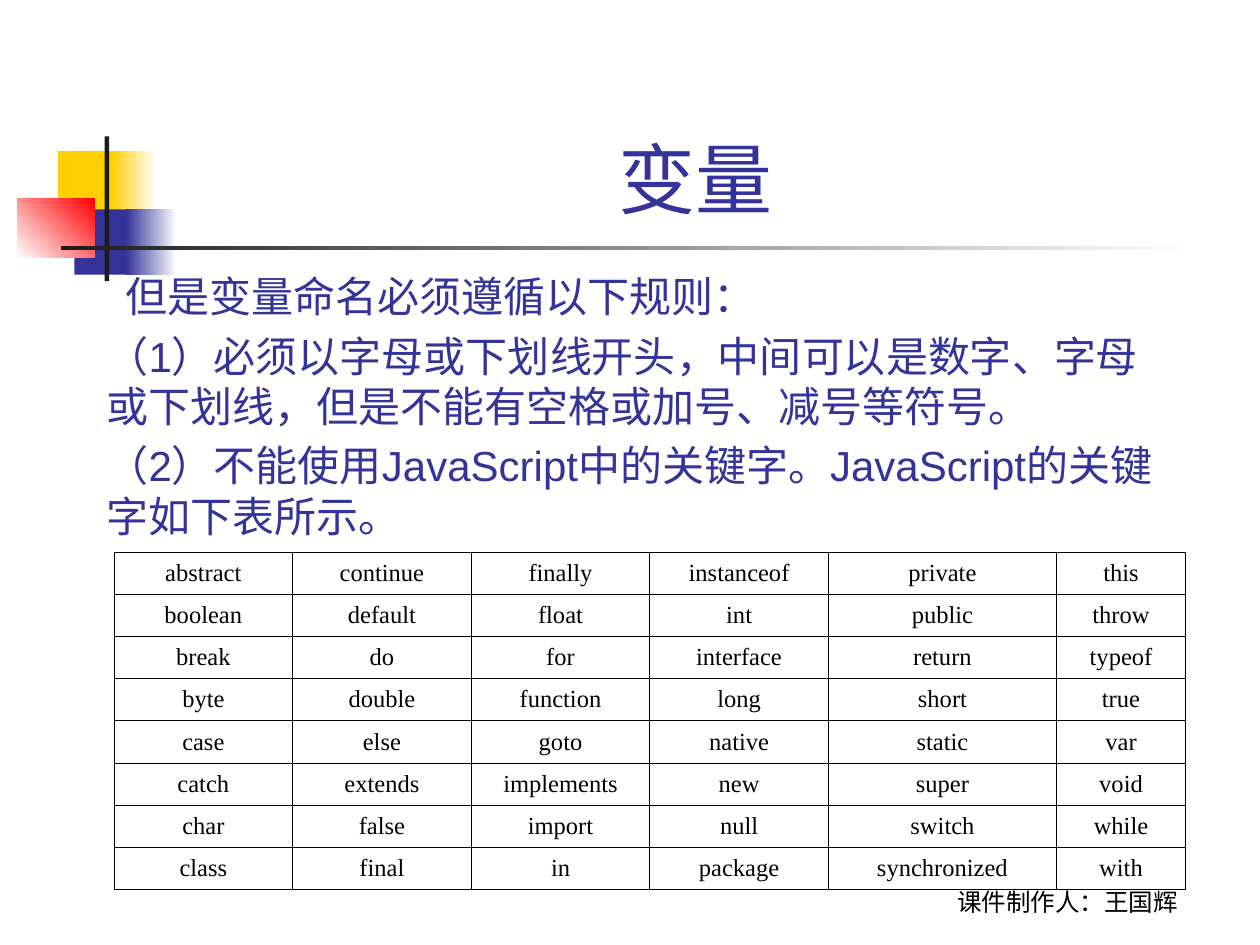
from dataclasses import dataclass

from lxml.etree import SubElement
from pptx import Presentation
from pptx.dml.color import RGBColor as RGB
from pptx.enum.shapes import MSO_SHAPE as Shape
from pptx.enum.text import MSO_ANCHOR as Anchor, MSO_AUTO_SIZE as AutoSize, PP_ALIGN as Align
from pptx.oxml.ns import qn
from pptx.util import Cm, Pt


@dataclass(frozen=True)
class Theme:
    navy: str = "333399"
    yellow: str = "FFCF01"
    red: str = "FF0000"
    dark: str = "1C1C1C"
    black: str = "000000"
    white: str = "FFFFFF"
    title_size: int = 44
    body_size: int = 24
    small_size: int = 14
    border: float = 0.45
    font: str = "Arial"
    footer_font: str = "Karla"
    table_font: str = "Times New Roman"


def write(tf, text, size, color, font, align=Align.LEFT, before=0, anchor=Anchor.TOP):
    tf.word_wrap = True
    tf.vertical_anchor = anchor
    p = tf.paragraphs[0]
    p.alignment = align
    p.space_before = Pt(before)
    r = p.add_run()
    r.text = text
    r.font.size = Pt(size)
    r.font.name = font
    r.font.color.rgb = RGB.from_string(color)


class SlideBuilder:
    def __init__(self, slide, theme):
        self.slide = slide
        self.theme = theme

    def block(self, box, color, fade_to=None, angle=0):
        """Draw a borderless rectangle; the angle turns counter-clockwise."""
        sp = self.slide.shapes.add_shape(Shape.RECTANGLE, *map(Cm, box))
        sp.shadow.inherit = False
        sp.line.fill.background()
        if fade_to is None:
            sp.fill.solid()
            sp.fill.fore_color.rgb = RGB.from_string(color)
            return
        sp.fill.gradient()
        sp.fill.gradient_angle = angle
        for stop, stop_color in zip(sp.fill.gradient_stops, (color, fade_to)):
            stop.color.rgb = RGB.from_string(stop_color)

    def title(self, box, text):
        sp = self.slide.shapes.title
        sp.left, sp.top, sp.width, sp.height = map(Cm, box)
        t = self.theme
        sp.text_frame.auto_size = AutoSize.NONE
        write(sp.text_frame, text, t.title_size, t.navy, t.font,
              align=Align.CENTER, anchor=Anchor.BOTTOM)

    def text_box(self, box, text, auto_size=AutoSize.NONE, **style):
        tf = self.slide.shapes.add_textbox(*map(Cm, box)).text_frame
        write(tf, text, **style)
        tf.auto_size = auto_size

    def body(self, box, text):
        t = self.theme
        self.text_box(box, text, AutoSize.SHAPE_TO_FIT_TEXT, size=t.body_size,
                      color=t.navy, font=t.font, before=9)

    def footer(self, box, text):
        t = self.theme
        self.text_box(box, text, size=t.small_size, color=t.black, font=t.footer_font,
                      align=Align.CENTER, anchor=Anchor.BOTTOM)

    def table(self, left, top, widths, row_height, rows):
        t = self.theme
        frame = self.slide.shapes.add_table(
            len(rows), len(widths), Cm(left), Cm(top),
            Cm(sum(widths)), Cm(row_height * len(rows)))
        table = frame.table
        table.first_row = table.horz_banding = False
        for column, width in zip(table.columns, widths):
            column.width = Cm(width)
        for row, words in zip(table.rows, rows):
            row.height = Cm(row_height)
            for cell, word in zip(row.cells, words):
                write(cell.text_frame, word, t.small_size, t.black, t.table_font,
                      align=Align.CENTER)
                cell.vertical_anchor = Anchor.MIDDLE
                self.cell_borders(cell)
                cell.fill.background()

    def cell_borders(self, cell):
        tc_pr = cell._tc.get_or_add_tcPr()
        for side in ("a:lnL", "a:lnR", "a:lnT", "a:lnB"):
            ln = SubElement(tc_pr, qn(side), w=str(Pt(self.theme.border)))
            fill = SubElement(ln, qn("a:solidFill"))
            SubElement(fill, qn("a:srgbClr"), val=self.theme.black)


KEYWORDS = [line.split() for line in (
    "abstract continue finally instanceof private this",
    "boolean default float int public throw",
    "break do for interface return typeof",
    "byte double function long short true",
    "case else goto native static var",
    "catch extends implements new super void",
    "char false import null switch while",
    "class final in package synchronized with",
)]


def main():
    prs = Presentation()
    prs.slide_width, prs.slide_height = Cm(25.4), Cm(19.05)
    t = Theme()
    s = SlideBuilder(prs.slides.add_slide(prs.slide_layouts[5]), t)

    s.block((1.17, 3.05, 1.22, 1.32), t.yellow)
    s.block((2.24, 3.05, 0.91, 1.32), t.yellow, fade_to=t.white)
    s.block((1.5, 4.22, 1.17, 1.32), t.navy)
    s.block((2.54, 4.22, 1.02, 1.32), t.navy, fade_to=t.white)
    s.block((0.35, 4.01, 1.56, 1.18), t.white, fade_to=t.red, angle=45)
    s.block((2.11, 2.75, 0.09, 2.92), t.dark)
    s.block((1.23, 4.95, 22.86, 0.09), t.dark, fade_to=t.white)

    s.footer((17.5, 17.32, 8.05, 1.27), "课件制作人：王国辉")
    s.title((3.2, 0.58, 21.64, 4.06), "变量")
    s.body((2.29, 5.33, 21.8, 1.27), "但是变量命名必须遵循以下规则：")
    s.body((1.9, 6.53, 21.8, 2.29),
           "（1）必须以字母或下划线开头，中间可以是数字、字母或下划线，但是不能有空格或加号、减号等符号。")
    s.body((1.9, 8.74, 21.8, 2.29),
           "（2）不能使用JavaScript中的关键字。JavaScript的关键字如下表所示。")
    s.table(2.3, 11.13, [3.6] * 4 + [4.6, 2.6], 0.85, KEYWORDS)
    prs.save("out.pptx")


if __name__ == "__main__":
    main()
